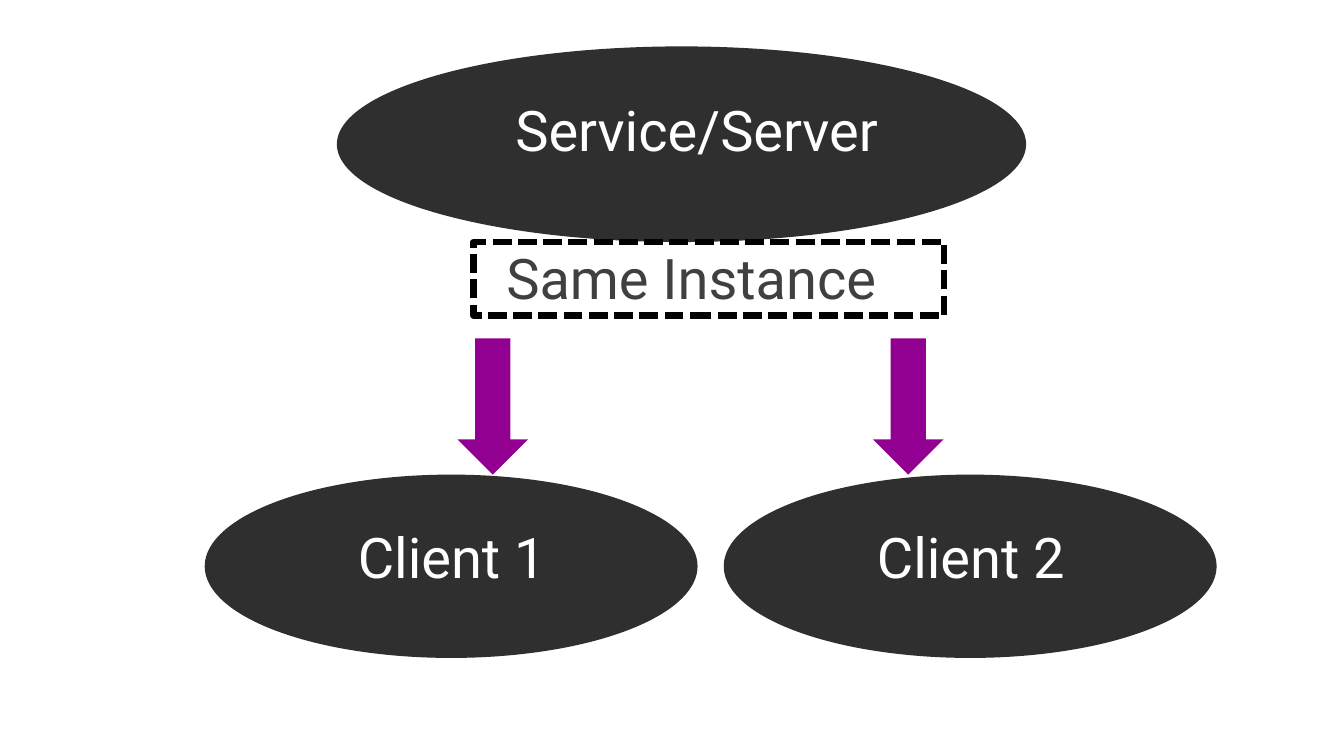
from pptx import Presentation
from pptx.dml.color import RGBColor
from pptx.enum.dml import MSO_LINE_DASH_STYLE as Dash
from pptx.enum.shapes import MSO_SHAPE as Shape
from pptx.enum.text import MSO_ANCHOR, MSO_AUTO_SIZE, PP_ALIGN
from pptx.util import Cm, Pt

# Content: label, ellipse (left, top, width, height), label box
NODES = [
    ("Service/Server ", (8.49, 1.17, 17.37, 4.93), (12.95, 2.41, 9.22, 1.7)),
    ("Client 1 ", (5.16, 11.96, 12.42, 4.62), (8.92, 13.16, 4.93, 1.7)),
    ("Client 2", (18.24, 11.96, 12.42, 4.62), (22, 13.16, 4.93, 1.7)),
]
ARROW_LEFTS = [11.53, 22]
ARROW_TOP, ARROW_WIDTH, ARROW_HEIGHT = 8.53, 1.78, 3.43
INSTANCE_LABEL = "Same Instance "
INSTANCE_FRAME = (11.93, 6.1, 11.86, 1.85)
INSTANCE_BOX = (12.3, 6.13, 10.59, 1.7)

DARK, PURPLE, WHITE, BLACK, GREY = "2F2F2F", "910091", "FFFFFF", "000000", "404040"
FONT = {"name": "Roboto", "size": Pt(40)}
FRAME = {"margin_left": 0, "margin_right": 0, "margin_top": 0, "margin_bottom": 0,
         "word_wrap": True, "vertical_anchor": MSO_ANCHOR.TOP,
         "auto_size": MSO_AUTO_SIZE.SHAPE_TO_FIT_TEXT}


def color(value):
    return RGBColor.from_string(value)


def add_shape(page, kind, place, fill=None):
    shape = page.shapes.add_shape(kind, *map(Cm, place))
    shape.shadow.inherit = False
    shape.line.fill.background()
    if fill:
        shape.fill.solid()
        shape.fill.fore_color.rgb = color(fill)
    else:
        shape.fill.background()
    return shape


def write(box, text, text_color):
    frame = box.text_frame
    for name, value in FRAME.items():
        setattr(frame, name, value)
    para = frame.paragraphs[0]
    para.alignment = PP_ALIGN.CENTER
    span = para.add_run()
    span.text = text
    for name, value in FONT.items():
        setattr(span.font, name, value)
    span.font.color.rgb = color(text_color)


def main():
    deck = Presentation()
    deck.slide_width, deck.slide_height = Cm(33.87), Cm(19.05)
    page = deck.slides.add_slide(deck.slide_layouts[6])

    # Server and clients
    for text, ellipse, label in NODES:
        add_shape(page, Shape.OVAL, ellipse, DARK)
        write(add_shape(page, Shape.RECTANGLE, label, DARK), text, WHITE)

    # Arrows down to the clients
    for left in ARROW_LEFTS:
        place = (left, ARROW_TOP, ARROW_WIDTH, ARROW_HEIGHT)
        add_shape(page, Shape.DOWN_ARROW, place, PURPLE)

    # Dashed frame with the shared instance
    border = add_shape(page, Shape.RECTANGLE, INSTANCE_FRAME).line
    border.color.rgb = color(BLACK)
    border.width = Pt(4.5)
    border.dash_style = Dash.SQUARE_DOT
    write(page.shapes.add_textbox(*map(Cm, INSTANCE_BOX)), INSTANCE_LABEL, GREY)

    deck.save("out.pptx")


if __name__ == "__main__":
    main()
